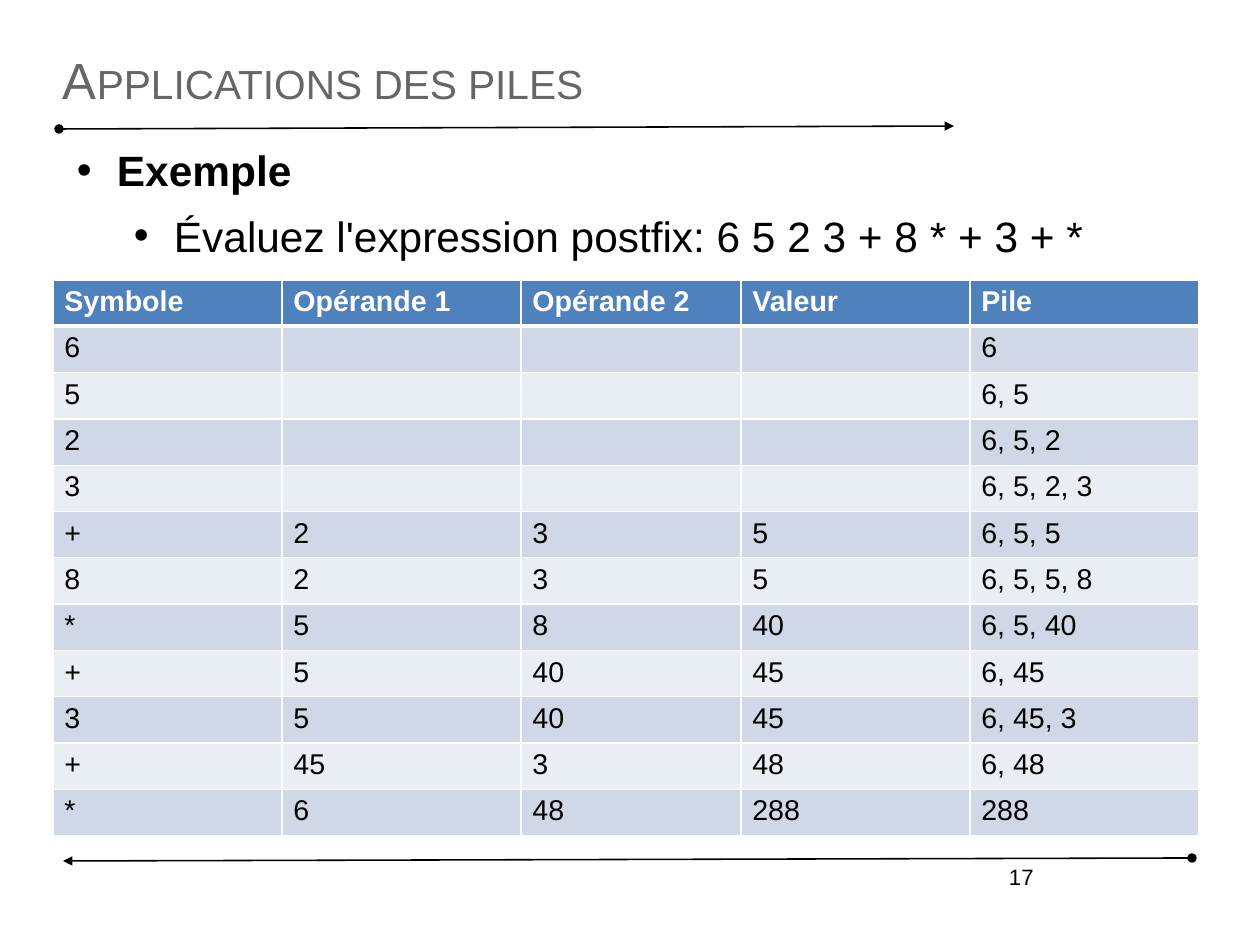
"""Build the slide that evaluates a postfix expression with a stack."""
from dataclasses import dataclass

from lxml.etree import SubElement
from pptx import Presentation
from pptx.dml.color import RGBColor
from pptx.enum.shapes import MSO_CONNECTOR
from pptx.enum.text import MSO_ANCHOR, MSO_AUTO_SIZE, PP_ALIGN
from pptx.oxml.ns import qn
from pptx.util import Pt

SCALE = 8000


@dataclass(frozen=True)
class Theme:
    """Hold the colours, the font and the type sizes."""
    font: str = "Arial"
    ink: str = "000000"
    title: str = "666666"
    white: str = "FFFFFF"
    header: str = "4F81BD"
    bands: tuple = ("D0D8E8", "E9EDF4")
    title_size: float = 32
    body_size: float = 26.7
    table_size: float = 18
    number_size: float = 14
    paragraph_gap: float = 9.4


THEME = Theme()

BULLETS = [
    ("Exemple", 54, True),
    ("Évaluez l'expression postfix: 6 5 2 3 + 8 * + 3 + *", 111, False),
]
BULLET_HANG = 40

COLUMN_WIDTHS = [229, 239, 220, 229, 229]
STACK_ROWS = [
    ("Symbole", "Opérande 1", "Opérande 2", "Valeur", "Pile"),
    ("6", "", "", "", "6"),
    ("5", "", "", "", "6, 5"),
    ("2", "", "", "", "6, 5, 2"),
    ("3", "", "", "", "6, 5, 2, 3"),
    ("+", "2", "3", "5", "6, 5, 5"),
    ("8", "2", "3", "5", "6, 5, 5, 8"),
    ("*", "5", "8", "40", "6, 5, 40"),
    ("+", "5", "40", "45", "6, 45"),
    ("3", "5", "40", "45", "6, 45, 3"),
    ("+", "45", "3", "48", "6, 48"),
    ("*", "6", "48", "288", "288"),
]


def px(*lengths):
    """Turn px lengths into EMU."""
    return [length * SCALE for length in lengths]


def format_runs(paragraph, size, color, bold=False):
    """Give every run of a paragraph its font, size and colour."""
    for run in paragraph.runs:
        run.font.name = THEME.font
        run.font.size = Pt(size)
        run.font.bold = bold
        run.font.color.rgb = RGBColor.from_string(color)


def clear_margins(frame):
    """Remove the four insets of a text frame."""
    frame.margin_left = frame.margin_right = 0
    frame.margin_top = frame.margin_bottom = 0


def add_rule(slide, start, end):
    """Draw a line with a dot at its start and an arrowhead at its end."""
    rule = slide.shapes.add_connector(
        MSO_CONNECTOR.STRAIGHT, *px(*start), *px(*end))
    rule.line.width = Pt(1)
    rule.line.color.rgb = RGBColor.from_string(THEME.ink)
    properties = rule._element.spPr
    outline = properties.find(qn("a:ln"))
    SubElement(outline, qn("a:headEnd"), type="oval")
    SubElement(outline, qn("a:tailEnd"), type="triangle")
    SubElement(properties, qn("a:effectLst"))


def place_title(slide, box, text):
    """Fill the title placeholder in small capitals."""
    title = slide.shapes.title
    title.left, title.top, title.width, title.height = px(*box)
    frame = title.text_frame
    frame.text = text
    frame.word_wrap = True
    frame.auto_size = MSO_AUTO_SIZE.NONE
    frame.vertical_anchor = MSO_ANCHOR.MIDDLE
    clear_margins(frame)
    paragraph = frame.paragraphs[0]
    paragraph.alignment = PP_ALIGN.LEFT
    format_runs(paragraph, THEME.title_size, THEME.title)
    paragraph.runs[0].font._element.set("cap", "small")


def add_bullets(slide, box):
    """Write the bulleted statement of the example."""
    frame = slide.shapes.add_textbox(*px(*box)).text_frame
    frame.word_wrap = True
    clear_margins(frame)
    frame.text = "\n".join(text for text, _, _ in BULLETS)
    for level, (paragraph, bullet) in enumerate(zip(frame.paragraphs, BULLETS)):
        _, indent, bold = bullet
        paragraph.level = level
        paragraph.space_before = Pt(THEME.paragraph_gap)
        format_runs(paragraph, THEME.body_size, THEME.ink, bold)
        properties = paragraph._p.get_or_add_pPr()
        properties.set("marL", str(indent * SCALE))
        properties.set("indent", str(-BULLET_HANG * SCALE))
        SubElement(properties, qn("a:buFont"), typeface=THEME.font)
        SubElement(properties, qn("a:buChar"), char="•")


def set_borders(cell, top, bottom):
    """Draw white borders round a cell, with widths in points."""
    properties = cell._tc.get_or_add_tcPr()
    widths = {"a:lnL": 1, "a:lnR": 1, "a:lnT": top, "a:lnB": bottom}
    for position, (tag, width) in enumerate(widths.items()):
        border = SubElement(properties, qn(tag), w=str(Pt(width)))
        fill = SubElement(border, qn("a:solidFill"))
        SubElement(fill, qn("a:srgbClr"), val=THEME.white)
        properties.insert(position, border)


def add_stack_table(slide, box):
    """Add the table that follows the stack symbol by symbol."""
    table = slide.shapes.add_table(
        len(STACK_ROWS), len(COLUMN_WIDTHS), *px(*box)).table
    for column, width in zip(table.columns, px(*COLUMN_WIDTHS)):
        column.width = width
    for row_index, values in enumerate(STACK_ROWS):
        is_header = row_index == 0
        fill = THEME.header if is_header else THEME.bands[(row_index - 1) % 2]
        color = THEME.white if is_header else THEME.ink
        for column_index, value in enumerate(values):
            cell = table.cell(row_index, column_index)
            cell.text = value
            cell.fill.solid()
            cell.fill.fore_color.rgb = RGBColor.from_string(fill)
            format_runs(cell.text_frame.paragraphs[0],
                        THEME.table_size, color, is_header)
            set_borders(cell, 3 if row_index == 1 else 1, 3 if is_header else 1)


def add_page_number(slide, box, number):
    """Write the page number at the right of its box."""
    frame = slide.shapes.add_textbox(*px(*box)).text_frame
    frame.word_wrap = True
    frame.text = number
    paragraph = frame.paragraphs[0]
    paragraph.alignment = PP_ALIGN.RIGHT
    format_runs(paragraph, THEME.number_size, THEME.ink)


def main():
    """Build and save the presentation."""
    presentation = Presentation()
    presentation.slide_width, presentation.slide_height = px(1260, 945)
    slide = presentation.slides.add_slide(presentation.slide_layouts[5])
    add_rule(slide, (59, 129), (954, 126))
    add_page_number(slide, (751, 858, 294, 65), "17")
    add_rule(slide, (1192, 858), (63, 861))
    place_title(slide, (63, 38, 1134, 82), "Applications des piles")
    add_bullets(slide, (63, 144, 1134, 707))
    add_stack_table(slide, (53, 280, sum(COLUMN_WIDTHS), 556))
    presentation.save("out.pptx")


if __name__ == "__main__":
    main()
